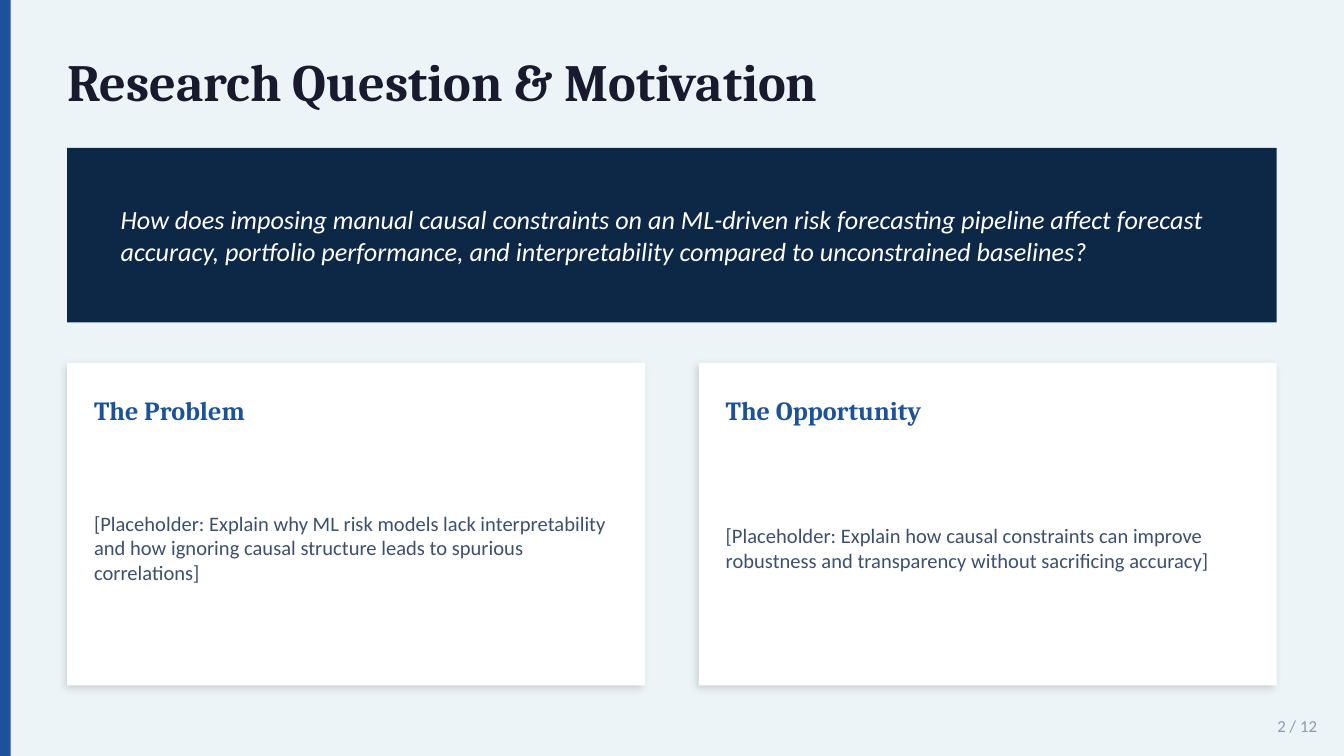
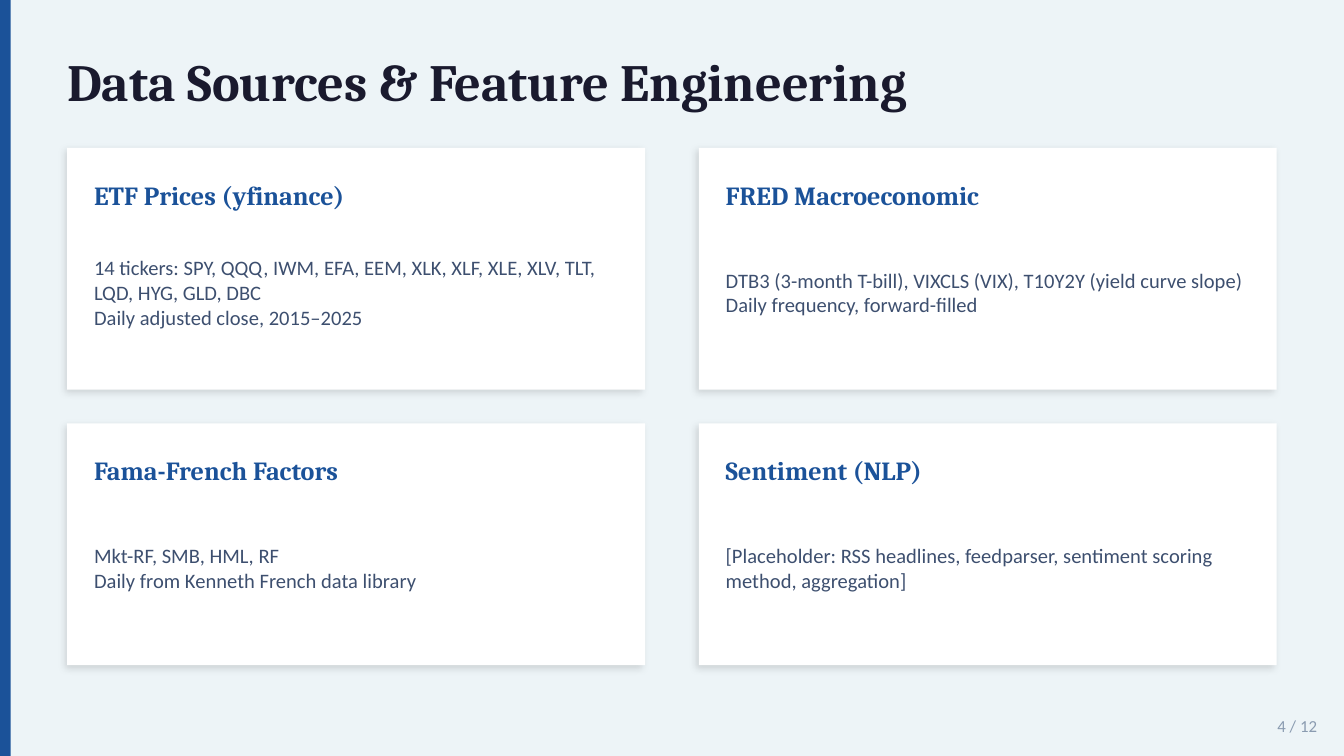
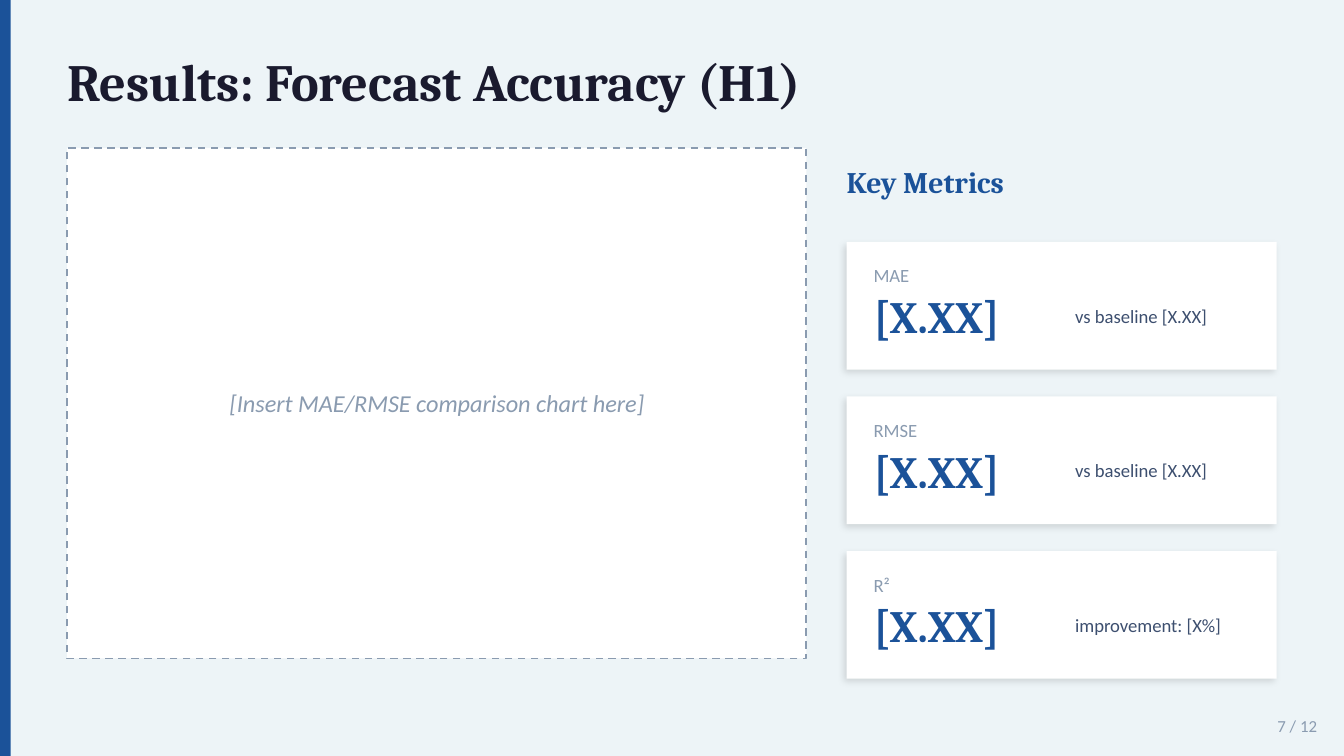
import pptx
import pptx.dml.color
import pptx.enum.dml
import pptx.enum.shapes
import pptx.enum.text
import pptx.oxml
import pptx.oxml.ns
import pptx.util

ALIGN = pptx.enum.text.PP_ALIGN

# Content
TOTAL_PAGES = 12
MOTIVATION = {
    "page": 2,
    "title": "Research Question & Motivation",
    "question": "How does imposing manual causal constraints on an ML-driven risk "
                "forecasting pipeline affect forecast accuracy, portfolio performance, "
                "and interpretability compared to unconstrained baselines?",
    "cards": [
        ("The Problem",
         ["[Placeholder: Explain why ML risk models lack interpretability and how "
          "ignoring causal structure leads to spurious correlations]"]),
        ("The Opportunity",
         ["[Placeholder: Explain how causal constraints can improve robustness and "
          "transparency without sacrificing accuracy]"]),
    ],
}
DATA_SOURCES = {
    "page": 4,
    "title": "Data Sources & Feature Engineering",
    "cards": [
        ("ETF Prices (yfinance)",
         ["14 tickers: SPY, QQQ, IWM, EFA, EEM, XLK, XLF, XLE, XLV, TLT, LQD, HYG, GLD, DBC",
          "Daily adjusted close, 2015–2025"]),
        ("FRED Macroeconomic",
         ["DTB3 (3-month T-bill), VIXCLS (VIX), T10Y2Y (yield curve slope)",
          "Daily frequency, forward-filled"]),
        ("Fama-French Factors",
         ["Mkt-RF, SMB, HML, RF", "Daily from Kenneth French data library"]),
        ("Sentiment (NLP)",
         ["[Placeholder: RSS headlines, feedparser, sentiment scoring method, aggregation]"]),
    ],
}
RESULTS = {
    "page": 7,
    "title": "Results: Forecast Accuracy (H1)",
    "chart_note": "[Insert MAE/RMSE comparison chart here]",
    "metrics_heading": "Key Metrics",
    "metrics": [
        ("MAE", "[X.XX]", "vs baseline [X.XX]"),
        ("RMSE", "[X.XX]", "vs baseline [X.XX]"),
        ("R²", "[X.XX]", "improvement: [X%]"),
    ],
}

# Look
COLOURS = {"page": "EDF4F7", "accent": "1B5299", "navy": "0D2847", "white": "FFFFFF",
           "ink": "1A1A2E", "body": "3D4F6F", "muted": "8A9BB0"}
HEAD, TEXT = "Cambria", "Calibri"
THEME = {
    "title": {"name": HEAD, "size": 28, "bold": True, "color": "ink"},
    "question": {"name": TEXT, "size": 14, "italic": True, "color": "white"},
    "card_heading": {"name": HEAD, "size": 14, "bold": True, "color": "accent"},
    "card_body": {"name": TEXT, "size": 11, "color": "body"},
    "chart_note": {"name": TEXT, "size": 13, "italic": True, "color": "muted"},
    "metrics_heading": {"name": HEAD, "size": 16, "bold": True, "color": "accent"},
    "metric_label": {"name": TEXT, "size": 10, "color": "muted"},
    "metric_value": {"name": HEAD, "size": 24, "bold": True, "color": "accent"},
    "metric_note": {"name": TEXT, "size": 10, "color": "body"},
    "page_number": {"name": TEXT, "size": 9, "color": "muted"},
}
SHADOW = (
    f'<a:outerShdw {pptx.oxml.ns.nsdecls("a")} blurRad="50800" dist="25400" dir="8100000" '
    'algn="bl" rotWithShape="0"><a:srgbClr val="000000"><a:alpha val="12000"/>'
    '</a:srgbClr></a:outerShdw>')

# Grid, in inches
SLIDE_WIDTH = pptx.util.Inches(10)
SLIDE_HEIGHT = SLIDE_WIDTH * 9 // 16
LEFT, TOP, WIDTH = 0.5, 1.1, 9
CARD_COLUMNS, CARD_GUTTER, CARD_PAD = 2, 0.4, 0.2
CARD_WIDTH = (WIDTH - CARD_GUTTER) / CARD_COLUMNS
CHART_WIDTH, CHART_HEIGHT = 5.5, 3.8
METRICS_LEFT, METRICS_WIDTH = 6.3, 3.2


def colour(name):
    return pptx.dml.color.RGBColor.from_string(COLOURS[name])


def inches(*lengths):
    return [pptx.util.Inches(length) for length in lengths]


def write(frame, lines, style, align=ALIGN.LEFT, inset=False):
    """Fill a text frame, one paragraph per line; inset keeps the default margins."""
    settings = {"word_wrap": True, "auto_size": pptx.enum.text.MSO_AUTO_SIZE.NONE,
                "vertical_anchor": pptx.enum.text.MSO_ANCHOR.MIDDLE}
    if not inset:
        settings.update(dict.fromkeys(
            ("margin_left", "margin_top", "margin_right", "margin_bottom"), 0))
    for key, value in settings.items():
        setattr(frame, key, value)
    frame.text = "\n".join(lines)
    for paragraph in frame.paragraphs:
        paragraph.alignment = align
        for run in paragraph.runs:
            for key, value in THEME[style].items():
                if key == "color":
                    run.font.color.rgb = colour(value)
                else:
                    setattr(run.font, key, pptx.util.Pt(value) if key == "size" else value)


def add_text(slide, box, lines, style, **options):
    write(slide.shapes.add_textbox(*inches(*box)).text_frame, lines, style, **options)


def add_panel(slide, box, fill, raised=False):
    panel = slide.shapes.add_shape(
        pptx.enum.shapes.MSO_SHAPE.RECTANGLE, *inches(*box))
    panel.fill.solid()
    panel.fill.fore_color.rgb = colour(fill)
    panel.line.fill.background()
    panel.shadow.inherit = False
    if raised:
        effects = panel._element.spPr.find(pptx.oxml.ns.qn("a:effectLst"))
        effects.append(pptx.oxml.parse_xml(SHADOW))
    return panel


def add_page(deck, content):
    """Add a slide with the side band, title and page number."""
    slide = deck.slides.add_slide(deck.slide_layouts.get_by_name("Title Only"))
    band = add_panel(slide, (0, 0, 0.08, 1), "accent")
    band.height = SLIDE_HEIGHT
    title = slide.shapes.title
    title.left, title.top, title.width, title.height = inches(LEFT, 0.3, WIDTH, 0.6)
    write(title.text_frame, [content["title"]], "title")
    add_text(slide, (9, 5.25, 0.8, 0.3), [f"{content['page']} / {TOTAL_PAGES}"],
             "page_number", align=ALIGN.RIGHT)
    return slide


def add_cards(slide, cards, top, height, row_gap=0.25):
    inner = CARD_WIDTH - 2 * CARD_PAD
    for index, (heading, body) in enumerate(cards):
        row, column = divmod(index, CARD_COLUMNS)
        x = LEFT + column * (CARD_WIDTH + CARD_GUTTER)
        y = top + row * (height + row_gap)
        add_panel(slide, (x, y, CARD_WIDTH, height), "white", raised=True)
        add_text(slide, (x + CARD_PAD, y + 0.15, inner, 0.4), [heading], "card_heading")
        add_text(slide, (x + CARD_PAD, y + 0.55, inner, height - 0.75), body, "card_body")


def add_metrics(slide, metrics, top=1.8, height=0.95, gap=0.2):
    x = METRICS_LEFT
    for row, (label, value, note) in enumerate(metrics):
        y = top + row * (height + gap)
        add_panel(slide, (x, y, METRICS_WIDTH, height), "white", raised=True)
        add_text(slide, (x + CARD_PAD, y + 0.05, 1, 0.4), [label], "metric_label")
        add_text(slide, (x + CARD_PAD, y + 0.3, 1.5, 0.5), [value], "metric_value")
        add_text(slide, (x + 1.7, y + 0.35, 1.3, 0.4), [note], "metric_note")


def build_motivation(deck):
    slide = add_page(deck, MOTIVATION)
    add_panel(slide, (LEFT, TOP, WIDTH, 1.3), "navy")
    add_text(slide, (LEFT + 0.3, TOP + 0.1, WIDTH - 0.6, 1.1), [MOTIVATION["question"]],
             "question", inset=True)
    add_cards(slide, MOTIVATION["cards"], top=2.7, height=2.4)


def build_data_sources(deck):
    add_cards(add_page(deck, DATA_SOURCES), DATA_SOURCES["cards"], top=TOP, height=1.8)


def build_results(deck):
    slide = add_page(deck, RESULTS)
    chart_area = add_panel(slide, (LEFT, TOP, CHART_WIDTH, CHART_HEIGHT), "white")
    chart_area.line.color.rgb = colour("muted")
    chart_area.line.width = pptx.util.Pt(1)
    chart_area.line.dash_style = pptx.enum.dml.MSO_LINE.DASH
    add_text(slide, (LEFT, 2.7, CHART_WIDTH, 0.6), [RESULTS["chart_note"]], "chart_note",
             align=ALIGN.CENTER, inset=True)
    add_text(slide, (METRICS_LEFT, TOP, METRICS_WIDTH, 0.5), [RESULTS["metrics_heading"]],
             "metrics_heading")
    add_metrics(slide, RESULTS["metrics"])


def main():
    deck = pptx.Presentation()
    deck.slide_width, deck.slide_height = SLIDE_WIDTH, SLIDE_HEIGHT
    backdrop = deck.slide_master.background.fill
    backdrop.solid()
    backdrop.fore_color.rgb = colour("page")
    build_motivation(deck)
    build_data_sources(deck)
    build_results(deck)
    deck.save("out.pptx")


if __name__ == "__main__":
    main()
